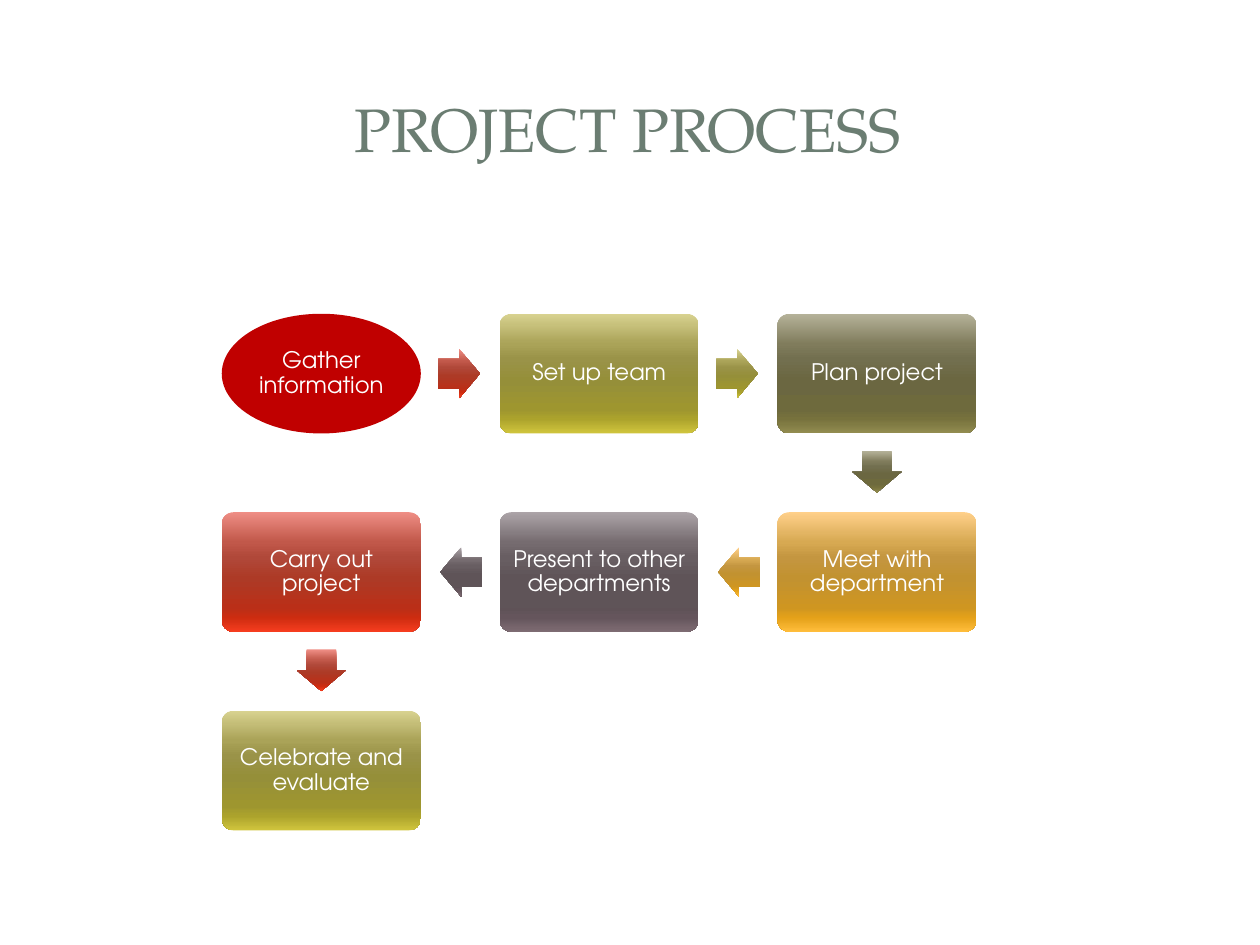
from lxml import etree
from pptx import Presentation
from pptx import util as u
from pptx.dml.color import RGBColor
from pptx.enum import shapes, text
from pptx.oxml.ns import qn

Kind = shapes.MSO_SHAPE
TITLE = "PROJECT PROCESS"
STOPS = (0, 25, 38, 55, 80, 88, 100)
SHADES = {
    "red": "EF8E85 C1584A B04839 AD3A26 BA2F18 CD2C10 F63D1F",
    "olive": "D8D290 AAA358 9A9348 958F39 9E962F ACA32C D0C53D",
    "moss": "B5B299 807C5C 726F4F 6B6741 6E6A3D 77723D 928C50",
    "gold": "FFD08A D7A952 C49640 C29230 CF9621 E4A119 FFBD3B",
    "plum": "ACA4A8 766C70 685E62 5F5458 5F5257 65555C 7E6C73",
}
# label, shade, column, row
STEPS = [
    ("Gather information", "red", 0, 0),
    ("Set up team", "olive", 1, 0),
    ("Plan project", "moss", 2, 0),
    ("Meet with department", "gold", 2, 1),
    ("Present to other departments", "plum", 1, 1),
    ("Carry out project", "red", 0, 1),
    ("Celebrate and evaluate", "olive", 0, 2),
]
ARROWS = {(1, 0): Kind.RIGHT_ARROW, (-1, 0): Kind.LEFT_ARROW,
          (0, 1): Kind.DOWN_ARROW}

LEFT, TOP = 1.76, 2.49
WIDE, HIGH = 1.58, 0.95
STEP_X, STEP_Y = 2.205, 1.575
LONG, BROAD, GAP = 0.33, 0.39, 0.14


def color(value):
    return RGBColor.from_string(value)


def shade(shape, name):
    """Fill a shape with a top-to-bottom gradient."""
    props = shape.fill._xPr
    grad = etree.Element(qn("a:gradFill"), rotWithShape="1")
    stops = etree.SubElement(grad, qn("a:gsLst"))
    for place, value in zip(STOPS, SHADES[name].split()):
        stop = etree.SubElement(stops, qn("a:gs"), pos=str(place * 1000))
        etree.SubElement(stop, qn("a:srgbClr"), val=value)
    etree.SubElement(grad, qn("a:lin"), ang="5400000", scaled="0")
    props.find(qn("a:prstGeom")).addnext(grad)


def add(slide, kind, mid_x, mid_y, wide, high):
    """Add a plain shape centred on a point."""
    shape = slide.shapes.add_shape(
        kind, u.Inches(mid_x - wide / 2), u.Inches(mid_y - high / 2),
        u.Inches(wide), u.Inches(high))
    shape.shadow.inherit = False
    shape.line.fill.background()
    return shape


def write(shape, words, font, size, tint):
    frame = shape.text_frame
    frame.word_wrap = True
    frame.vertical_anchor = text.MSO_ANCHOR.MIDDLE
    frame.text = words
    para = frame.paragraphs[0]
    para.alignment = text.PP_ALIGN.CENTER
    face = para.runs[0].font
    face.name, face.size = font, u.Pt(size)
    face.color.rgb = color(tint)
    return frame


def center(col, row):
    return LEFT + WIDE / 2 + col * STEP_X, TOP + HIGH / 2 + row * STEP_Y


def add_step(slide, label, tone, col, row):
    first = (col, row) == (0, 0)
    kind = Kind.OVAL if first else Kind.ROUNDED_RECTANGLE
    box = add(slide, kind, *center(col, row), WIDE, HIGH)
    if first:
        box.fill.solid()
        box.fill.fore_color.rgb = color("C00000")
    else:
        box.adjustments[0] = 0.1
        shade(box, tone)
    frame = write(box, label, "TeX Gyre Adventor", 13, "FFFFFF")
    frame.paragraphs[0].line_spacing = 0.9
    frame.margin_left = frame.margin_right = u.Inches(0.05)
    frame.margin_top = frame.margin_bottom = u.Inches(0.05)


def add_arrow(slide, tone, start, end):
    """Point from one grid cell towards its neighbour."""
    way_x, way_y = end[0] - start[0], end[1] - start[1]
    mid_x, mid_y = center(*start)
    reach = GAP + LONG / 2
    size = (LONG, BROAD) if way_x else (BROAD, LONG)
    arrow = add(slide, ARROWS[way_x, way_y],
                mid_x + way_x * (WIDE / 2 + reach),
                mid_y + way_y * (HIGH / 2 + reach), *size)
    arrow.adjustments[0], arrow.adjustments[1] = 0.6, 0.5
    shade(arrow, tone)


def main():
    deck = Presentation()
    deck.slide_width, deck.slide_height = u.Inches(10), u.Inches(7.5)
    slide = deck.slides.add_slide(deck.slide_layouts[6])
    title = slide.shapes.add_textbox(
        u.Inches(0.47), u.Inches(0.45), u.Inches(9.03), u.Inches(1.14))
    write(title, TITLE, "TeX Gyre Pagella", 35, "6B7D72")
    for step in STEPS:
        add_step(slide, *step)
    for step, after in zip(STEPS, STEPS[1:]):
        add_arrow(slide, step[1], step[2:], after[2:])
    deck.save("out.pptx")


if __name__ == "__main__":
    main()
